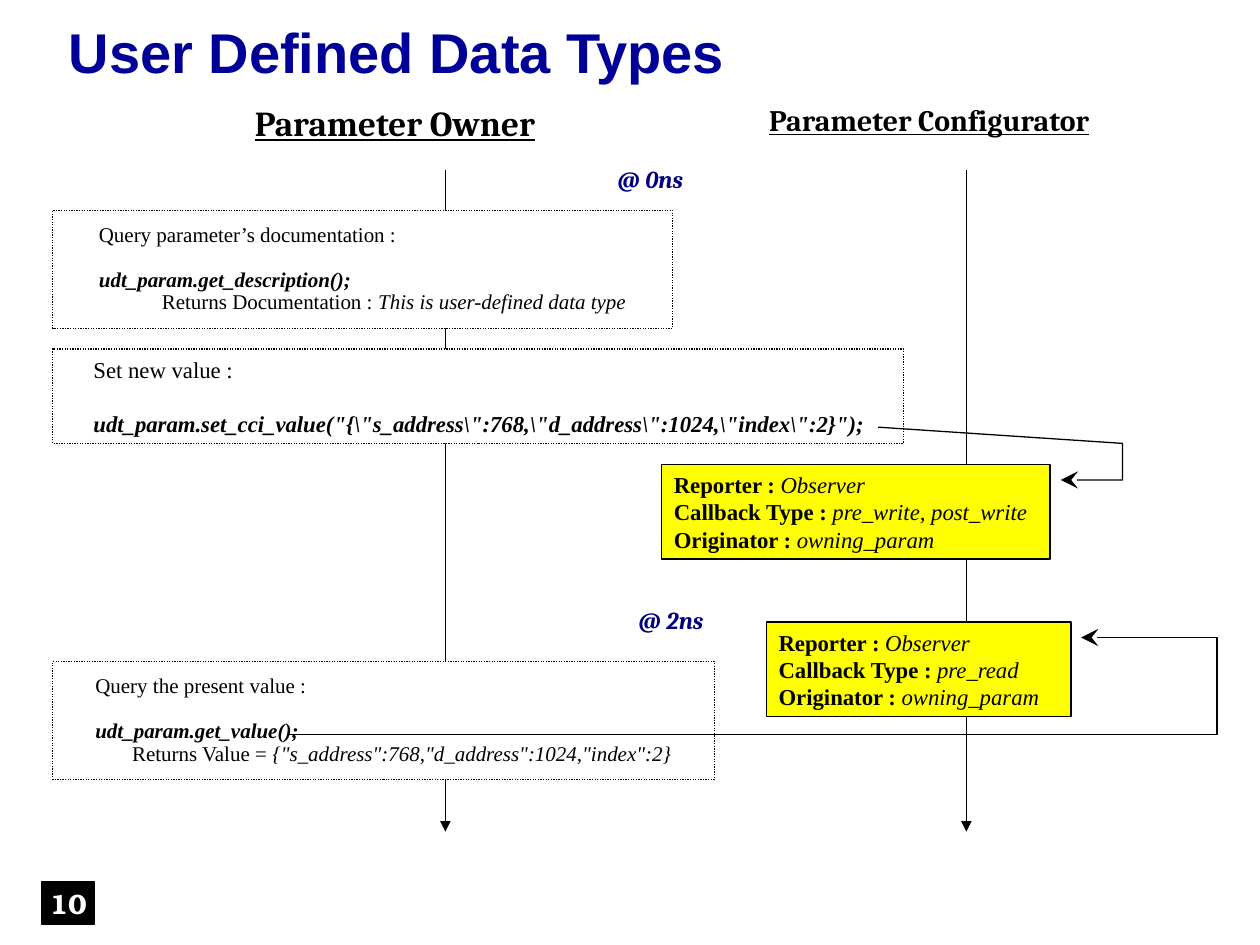
from dataclasses import dataclass

from pptx import Presentation
from pptx.dml.color import RGBColor
from pptx.enum.dml import MSO_LINE
from pptx.enum.shapes import MSO_CONNECTOR, MSO_SHAPE
from pptx.enum.text import MSO_ANCHOR, PP_ALIGN
from pptx.oxml.ns import qn
from pptx.util import Pt
from lxml.etree import SubElement

BLACK, WHITE, YELLOW = "000000", "FFFFFF", "FFFF00"
BODY_FONT, HEADING_FONT = "Times New Roman", "Cambria"


@dataclass
class Run:
    text: str
    bold: bool = False
    italic: bool = False


@dataclass
class Line:
    runs: list[Run]
    space_before: float = 0
    indent: float = 0


@dataclass
class Box:
    left: float
    top: float
    width: float
    height: float
    lines: list[Line]
    size: float
    font: str = BODY_FONT
    color: str = BLACK
    fill: str = WHITE
    outline: str | None = None
    dotted: bool = False
    underline: bool = False
    spacing: float = 1
    centered: bool = False
    wrap: bool = False
    anchor: MSO_ANCHOR = MSO_ANCHOR.MIDDLE
    inset: float = 7.2


@dataclass
class Callback:
    left: float
    top: float
    width: float
    kind: str
    route: list[tuple[float, float]]


def rgb(value: str) -> RGBColor:
    return RGBColor.from_string(value)


def write_line(paragraph, line: Line, box: Box) -> None:
    if line.indent:
        properties = paragraph._p.get_or_add_pPr()
        properties.set("marL", str(Pt(line.indent)))
        properties.set("indent", "0")
    paragraph.alignment = PP_ALIGN.CENTER if box.centered else PP_ALIGN.LEFT
    paragraph.line_spacing = box.spacing
    if line.space_before:
        paragraph.space_before = Pt(line.space_before)
    font = paragraph.font
    font.name, font.size = box.font, Pt(box.size)
    font.underline = box.underline
    font.color.rgb = rgb(box.color)
    for part in line.runs:
        run = paragraph.add_run()
        run.text = part.text
        run.font.bold, run.font.italic = part.bold, part.italic


def draw_box(slide, box: Box) -> None:
    shape = slide.shapes.add_shape(MSO_SHAPE.RECTANGLE, Pt(box.left), Pt(box.top),
                                   Pt(box.width), Pt(box.height))
    shape.shadow.inherit = False
    shape.fill.solid()
    shape.fill.fore_color.rgb = rgb(box.fill)
    if box.outline:
        shape.line.color.rgb = rgb(box.outline)
        shape.line.width = Pt(0.75)
        if box.dotted:
            shape.line.dash_style = MSO_LINE.ROUND_DOT
    else:
        shape.line.fill.background()
    frame = shape.text_frame
    frame.word_wrap = box.wrap
    frame.vertical_anchor = box.anchor
    frame.margin_left = Pt(box.inset)
    for index, line in enumerate(box.lines):
        paragraph = frame.add_paragraph() if index else frame.paragraphs[0]
        write_line(paragraph, line, box)


def add_arrowhead(shape, end: str, kind: str, size: str) -> None:
    shape.line.color.rgb = rgb(BLACK)
    shape.line.width = Pt(0.75)
    SubElement(shape.line._get_or_add_ln(), qn(end), type=kind, w=size, len=size)


def draw_lifeline(slide, x: float) -> None:
    connector = slide.shapes.add_connector(MSO_CONNECTOR.STRAIGHT, Pt(x), Pt(97.2), Pt(x), Pt(475.2))
    add_arrowhead(connector, "a:tailEnd", "triangle", "med")
    SubElement(connector._element.spPr, qn("a:effectLst"))


def draw_callback(slide, callback: Callback) -> None:
    details = [("Reporter : ", "Observer"), ("Callback Type : ", callback.kind),
               ("Originator : ", "owning_param")]
    lines = [Line([Run(label, bold=True), Run(value, italic=True)]) for label, value in details]
    draw_box(slide, Box(callback.left, callback.top, callback.width, 54, lines, 13,
                        fill=YELLOW, outline=BLACK, wrap=True, anchor=MSO_ANCHOR.TOP))
    points = [(Pt(x), Pt(y)) for x, y in callback.route]
    builder = slide.shapes.build_freeform(*points[0])
    builder.add_line_segments(points[1:], close=False)
    arrow = builder.convert_to_shape()
    arrow.shadow.inherit = False
    arrow.fill.background()
    add_arrowhead(arrow, "a:headEnd", "stealth", "lg")


def heading(left: float, text: str, size: float, spacing: float) -> Box:
    return Box(left, 51.8, 234, 36, [Line([Run(text, bold=True)])], size, font=HEADING_FONT,
               underline=True, spacing=spacing, centered=True)


def timestamp(left: float, top: float, text: str) -> Box:
    return Box(left, top, 143.3, 23.8, [Line([Run(text, bold=True, italic=True)])], 13.9,
               font=HEADING_FONT, color="000080", spacing=0.8, centered=True)


def step(top: float, width: float, height: float, inset: float, size: float, spacing: float,
         intro: str, call: str, result: Line | None = None) -> Box:
    lines = [Line([Run(intro)]),
             Line([Run(call, bold=True, italic=True)], space_before=size * spacing * 1.18)]
    if result:
        lines.append(result)
    return Box(30.2, top, width, height, lines, size, outline=BLACK, dotted=True,
               spacing=spacing, inset=inset)


def write_title(slide, text: str) -> None:
    title = slide.shapes.title
    title.left, title.top, title.width, title.height = Pt(32), Pt(11.6), Pt(644.4), Pt(41.8)
    title.text_frame.word_wrap = True
    title.text_frame.vertical_anchor = MSO_ANCHOR.MIDDLE
    line = Line([Run(text, bold=True)])
    write_line(title.text_frame.paragraphs[0], line,
               Box(0, 0, 0, 0, [line], 32, font="Arial", color="000099", spacing=0.85))


def main() -> None:
    presentation = Presentation()
    presentation.slide_width, presentation.slide_height = Pt(720), Pt(540)
    slide = presentation.slides.add_slide(presentation.slide_layouts[5])
    write_title(slide, "User Defined Data Types")

    for x in (254.5, 552.2):
        draw_lifeline(slide, x)

    documentation = Line([Run("Returns Documentation : "),
                          Run("This is user-defined data type", italic=True)], indent=36)
    value = Line([Run("Returns Value = "),
                  Run('{"s_address":768,"d_address":1024,"index":2}', italic=True)], indent=21)
    boxes = [
        heading(414, "Parameter Configurator", 17, 0.9),
        heading(108.7, "Parameter Owner", 20, 1),
        step(120.2, 354.2, 67.4, 26.3, 12, 0.9, "Query parameter’s documentation :",
             "udt_param.get_description();", documentation),
        step(199.4, 486, 54, 23.2, 13, 1, "Set new value :",
             r'udt_param.set_cci_value("{\"s_address\":768,\"d_address\":1024,\"index\":2}");'),
        timestamp(300, 92, "@ 0ns"),
        timestamp(311.8, 344, "@ 2ns"),
        step(378, 378, 67.4, 24.3, 12, 0.9, "Query the present value :",
             "udt_param.get_value();", value),
        Box(23.8, 504, 30.2, 24, [Line([Run("10", bold=True)])], 16, font="TeX Gyre Bonum",
            color=WHITE, fill=BLACK, outline=BLACK, centered=True),
    ]
    for box in boxes:
        draw_box(slide, box)

    callbacks = [
        Callback(378, 265.5, 222, "pre_write, post_write",
                 [(606.2, 274.3), (641.5, 274.3), (641.5, 253.4), (501.8, 244.1)]),
        Callback(437.8, 355.5, 174.2, "pre_read",
                 [(617.8, 364.3), (695.5, 364.3), (695.5, 419.8), (164.2, 419.8)]),
    ]
    for callback in callbacks:
        draw_callback(slide, callback)

    presentation.save("out.pptx")


if __name__ == "__main__":
    main()
